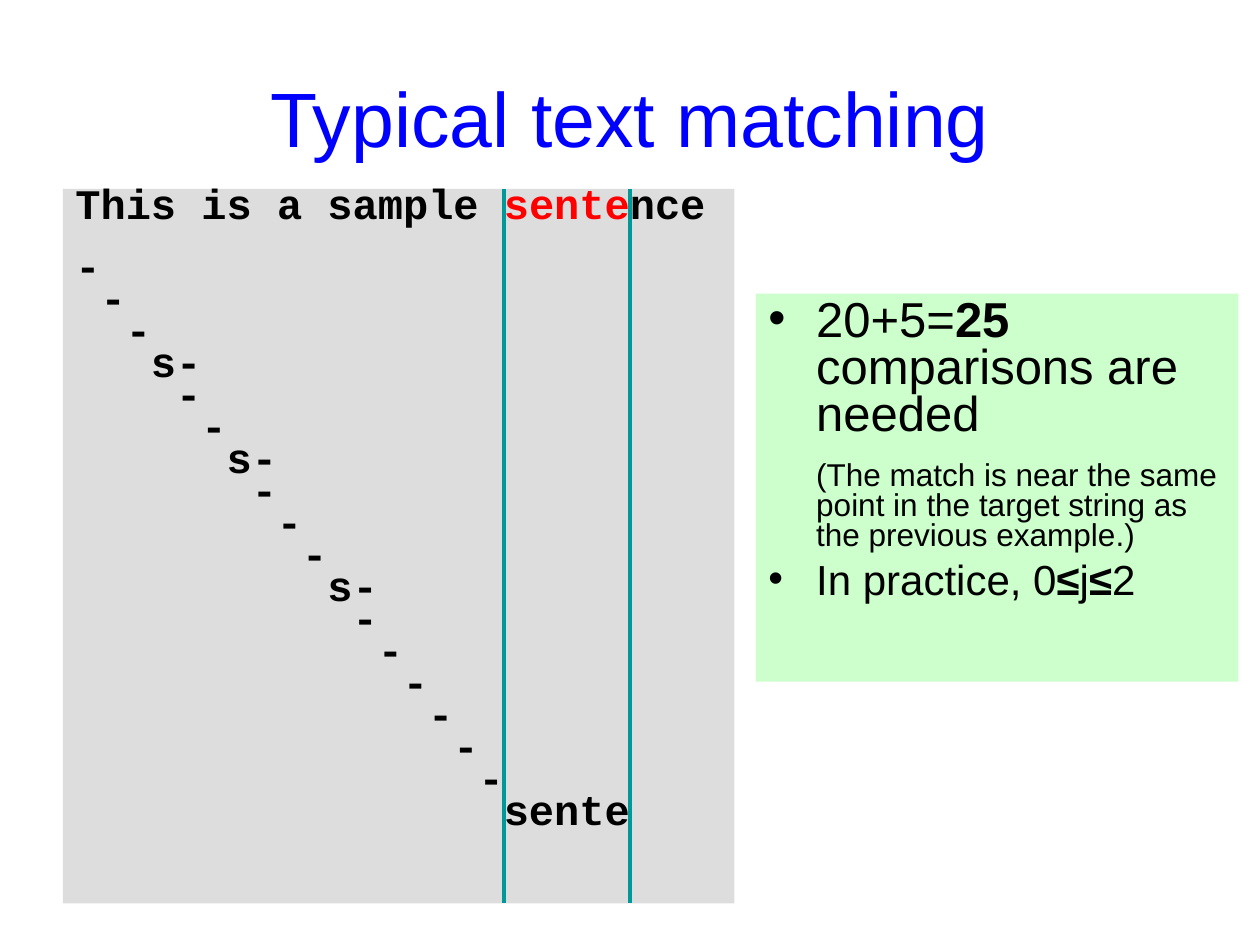
from pptx import Presentation
from pptx.dml.color import RGBColor
from pptx.enum.shapes import MSO_CONNECTOR, MSO_SHAPE
from pptx.enum.text import MSO_ANCHOR, PP_ALIGN
from pptx.oxml.ns import qn
from pptx.util import Inches, Pt
from lxml.etree import SubElement

BLACK = RGBColor(0x00, 0x00, 0x00)
BLUE = RGBColor(0x00, 0x00, 0xFF)
RED = RGBColor(0xFF, 0x00, 0x00)
TEAL = RGBColor(0x00, 0x99, 0x99)
GRAY = RGBColor(0xDD, 0xDD, 0xDD)
GREEN = RGBColor(0xCC, 0xFF, 0xCC)

CHAR_WIDTH = 0.2
INSET = 0.1
HANGING = 0.38
PATTERN = "sente"
MATCH_COLUMN = 17
PARTIAL_COLUMNS = (3, 6, 10)


def add_span(para, text, size, font="Arial", color=BLACK, bold=False):
    span = para.add_run()
    span.text = text
    span.font.size = Pt(size)
    span.font.name = font
    span.font.bold = bold
    span.font.color.rgb = color


def set_indent(para, margin, first=0, bullet=None):
    properties = para._p.get_or_add_pPr()
    properties.set("marL", str(Inches(margin)))
    properties.set("indent", str(Inches(first)))
    if bullet:
        SubElement(properties, qn("a:buFont")).set("typeface", "Arial")
        SubElement(properties, qn("a:buChar")).set("char", bullet)


def next_para(frame, spacing, before):
    para = frame.paragraphs[0]
    if para.runs:
        para = frame.add_paragraph()
    para.alignment = PP_ALIGN.LEFT
    para.line_spacing = spacing
    para.space_before = Pt(before)
    return para


def add_panel(page, box, fill):
    panel = page.shapes.add_shape(MSO_SHAPE.RECTANGLE, *map(Inches, box))
    panel.shadow.inherit = False
    panel.fill.solid()
    panel.fill.fore_color.rgb = fill
    panel.line.fill.background()
    frame = panel.text_frame
    frame.word_wrap = True
    frame.vertical_anchor = MSO_ANCHOR.TOP
    return frame


def add_title(page, box):
    frame = page.shapes.add_textbox(*map(Inches, box)).text_frame
    frame.word_wrap = True
    frame.vertical_anchor = MSO_ANCHOR.MIDDLE
    para = frame.paragraphs[0]
    para.alignment = PP_ALIGN.CENTER
    add_span(para, "Typical text matching", 44, color=BLUE)


def add_trace(page, box):
    frame = add_panel(page, box, GRAY)
    sentence = next_para(frame, 0.6, 1)
    for text, color in (("This is a sample ", BLACK), (PATTERN, RED), ("nce", BLACK)):
        add_span(sentence, text, 24, "Courier New", color, True)
    for column in range(MATCH_COLUMN + 1):
        if column == MATCH_COLUMN:
            text = PATTERN
        else:
            text = "s-" if column in PARTIAL_COLUMNS else "-"
        para = next_para(frame, 0.6, 18.3 if column == 0 else 1)
        set_indent(para, column * CHAR_WIDTH)
        add_span(para, text, 24, "Courier New", bold=True)


def add_match_lines(page, box):
    left, top, width, height = box
    for column in (MATCH_COLUMN, MATCH_COLUMN + len(PATTERN)):
        x = left + INSET + column * CHAR_WIDTH
        line = page.shapes.add_connector(
            MSO_CONNECTOR.STRAIGHT, Inches(x), Inches(top), Inches(x), Inches(top + height)
        )
        line.line.color.rgb = TEAL
        line.line.width = Pt(2.25)
        SubElement(line._element.spPr, qn("a:effectLst"))


def add_notes(page, box):
    frame = add_panel(page, box, GREEN)
    notes = (
        (28, 7, "•", (("20+5=", False), ("25", True), (" comparisons are needed", False))),
        (18, 12, None, (("(The match is near the same point in the target string "
                         "as the previous example.)", False),)),
        (24, 6, "•", (("In practice, 0", False), ("≤", True), ("j", False),
                      ("≤", True), ("2", False))),
    )
    for size, before, bullet, spans in notes:
        para = next_para(frame, 0.8, before)
        set_indent(para, HANGING, -HANGING if bullet else 0, bullet)
        for text, bold in spans:
            add_span(para, text, size, bold=bold)


def main():
    deck = Presentation()
    deck.slide_width = Inches(10)
    deck.slide_height = Inches(7.5)
    page = deck.slides.add_slide(deck.slide_layouts[6])
    trace_box = (0.5, 1.5, 5.33, 5.67)
    add_title(page, (0.5, 0.3, 9, 1.25))
    add_trace(page, trace_box)
    add_notes(page, (6, 2.33, 3.83, 3.08))
    add_match_lines(page, trace_box)
    deck.save("out.pptx")


if __name__ == "__main__":
    main()
